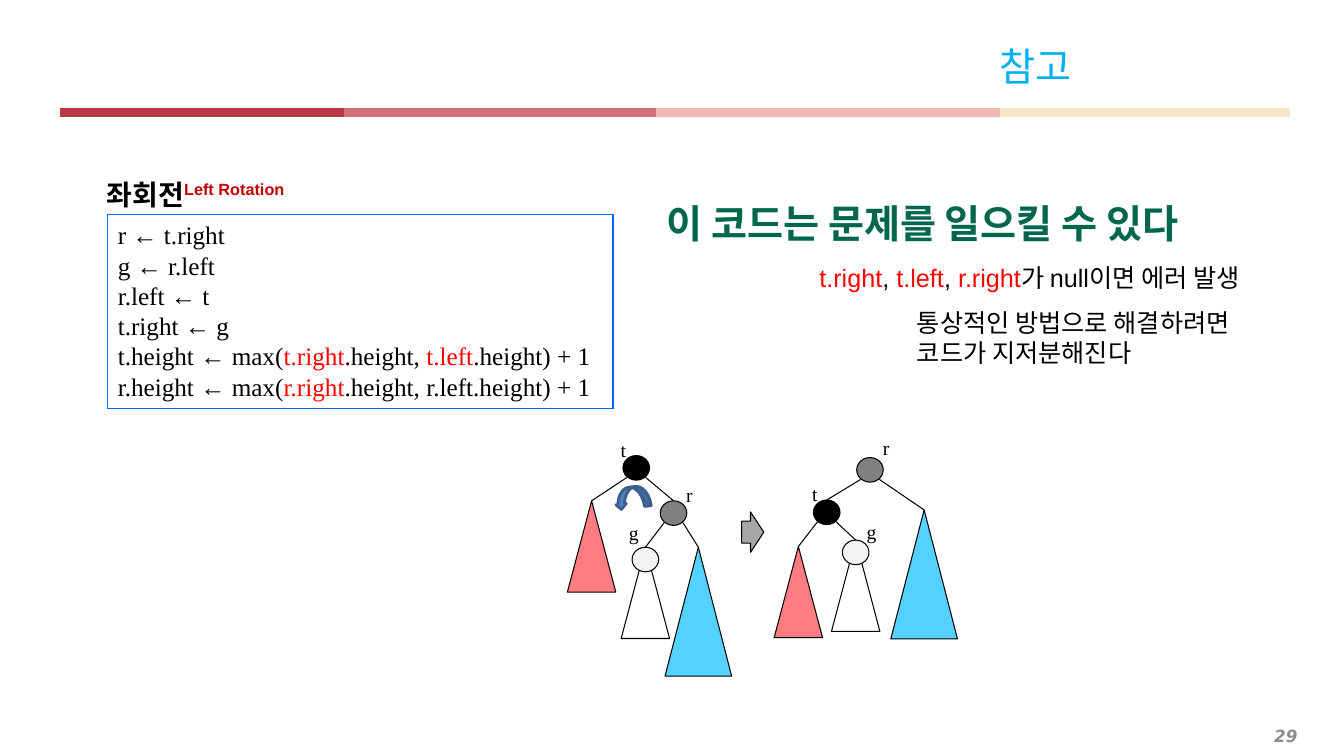
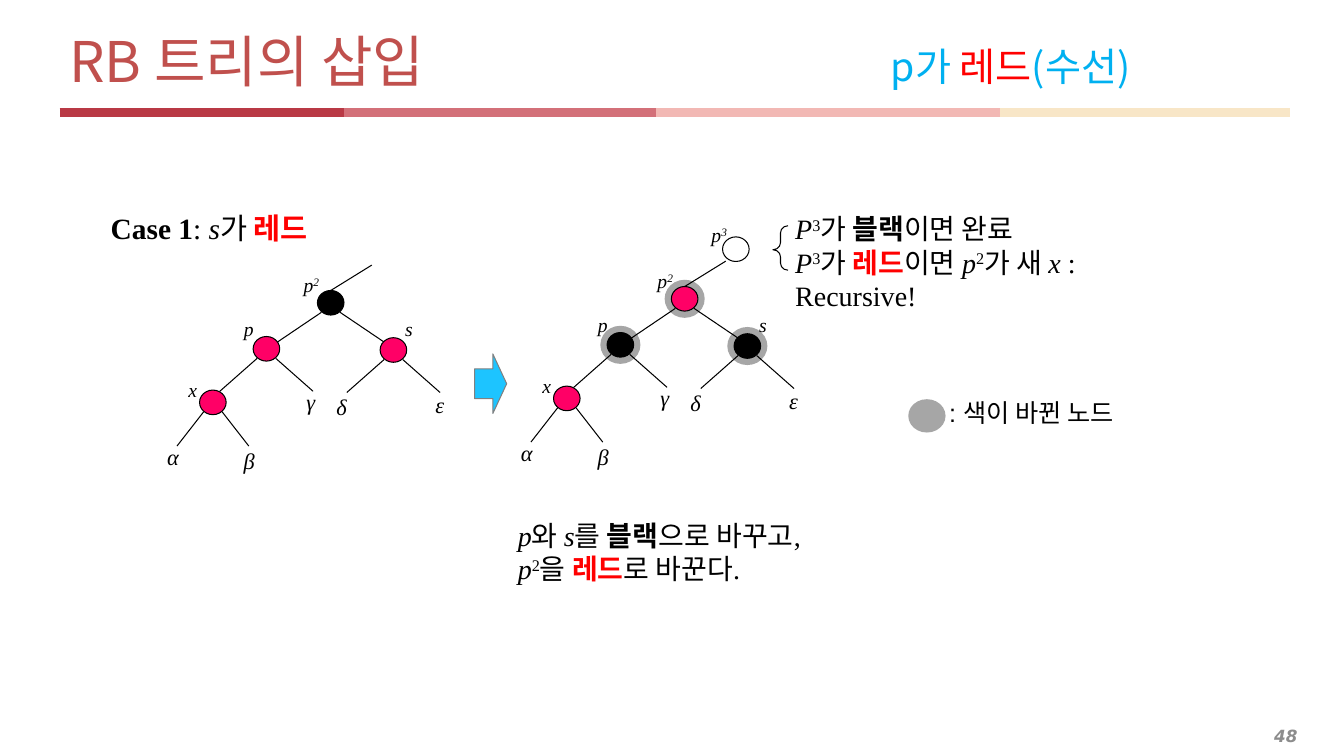
from lxml.etree import SubElement as Sub
from pptx import Presentation as Deck
from pptx.dml.color import RGBColor as Rgb
from pptx.enum.shapes import MSO_CONNECTOR as Wire, MSO_SHAPE as Geo
from pptx.enum.text import MSO_ANCHOR as Anchor, PP_ALIGN as Align
from pptx.oxml.ns import qn
from pptx.util import Cm, Pt


class Theme:
    hangul = "Noto Sans CJK KR"
    black, red, white, gray = "000000", "FF0000", "F2F2F2", "A6A6A6"
    dark, pink, rose, sky = "808080", "FF0066", "FF7C80", "53D2FF"
    cyan, blue, steel, navy = "1DC4FF", "0066FF", "4F81BD", "3A5F8C"
    bands = [(1.5, 8.66, "B93945"), (8.66, 16.54, "D37079"),
             (16.54, 25.2, "F2B8B4"), (25.2, 32.51, "F8E6C7")]
    node = (0.67, 0.62)
    halo = 0.17
    fonts = {
        "title": dict(name=hangul, size=Pt(40), color="C0504D"),
        "topic": dict(name=hangul, size=Pt(28), color="00B0F0"),
        "page": dict(name="DejaVu Sans", size=Pt(12), color="8C8C8C", bold=True, italic=True),
        "code": dict(name="Times New Roman", size=Pt(18)),
        "label": dict(name="Times New Roman", size=Pt(14)),
        "var": dict(name="Times New Roman", size=Pt(14), italic=True),
        "leaf": dict(name="Times New Roman", size=Pt(16), italic=True),
        "case": dict(name="Times New Roman", size=Pt(21)),
        "rule": dict(name="Times New Roman", size=Pt(20)),
        "head": dict(name="Arial", size=Pt(20), bold=True),
        "claim": dict(name="Arial", size=Pt(28), color="00664D", bold=True),
        "note": dict(name="Arial", size=Pt(18)),
    }
    marks = {
        "b": dict(bold=True),
        "i": dict(italic=True),
        "r": dict(color=red),
        "^": dict(base="30000"),
        "e": dict(color="C00000", base="36000"),
    }


class Board:
    def __init__(self):
        self.deck = Deck()
        self.deck.slide_width, self.deck.slide_height = Cm(33.87), Cm(19.05)

    def start(self, page, topic, left, title=None):
        self.slide = self.deck.slides.add_slide(self.deck.slide_layouts[6])
        self.shapes = self.slide.shapes
        for x, end, color in Theme.bands:
            self.line((x, 2.84), (end, 2.84), color, 6)
        if title:
            self.text(1.5, 0.64, 18, [[title]], "title", 1.73, Anchor.MIDDLE)
        self.text(left, 0.79, 10, [topic], "topic", 1.73, Anchor.MIDDLE)
        self.text(0.51, 18.14, 32.44, [[page]], "page", 0.79, Anchor.MIDDLE, Align.RIGHT)

    def fill(self, frame, rows, style, align=Align.LEFT):
        frame.word_wrap = True
        for n, row in enumerate(rows):
            para = frame.add_paragraph() if n else frame.paragraphs[0]
            para.alignment = align
            for part in row:
                words, marks = (part, "") if isinstance(part, str) else part
                look = dict(color=Theme.black) | Theme.fonts[style]
                for mark in marks:
                    look |= Theme.marks[mark]
                color, base = look.pop("color"), look.pop("base", None)
                run = para.add_run()
                run.text = words
                for key, value in look.items():
                    setattr(run.font, key, value)
                run.font.color.rgb = Rgb.from_string(color)
                props = run.font._element
                Sub(props, qn("a:ea")).set("typeface", Theme.hangul)
                if base:
                    props.set("baseline", base)

    def text(self, x, y, w, rows, style, h=1, anchor=Anchor.TOP, align=Align.LEFT):
        box = self.shapes.add_textbox(Cm(x), Cm(y), Cm(w), Cm(h))
        box.text_frame.vertical_anchor = anchor
        self.fill(box.text_frame, rows, style, align)

    def label(self, x, y, words, style):
        self.text(x, y, 1.3, [words], style, 0.86)

    def line(self, start, end, color=Theme.black, width=0.75):
        ends = [Cm(v) for v in (*start, *end)]
        wire = self.shapes.add_connector(Wire.STRAIGHT, *ends)
        wire.line.color.rgb = Rgb.from_string(color)
        wire.line.width = Pt(width)
        Sub(wire._element.spPr, qn("a:effectLst"))

    def shape(self, kind, x, y, w, h, fill=None, edge=Theme.black, width=0.75, tune=(), turn=0):
        item = self.shapes.add_shape(kind, Cm(x), Cm(y), Cm(w), Cm(h))
        item.shadow.inherit = False
        item.rotation = turn
        for n, value in enumerate(tune):
            item.adjustments[n] = value
        for paint, color in ((item.fill, fill), (item.line.fill, edge)):
            if color:
                paint.solid()
                paint.fore_color.rgb = Rgb.from_string(color)
            else:
                paint.background()
        if edge:
            item.line.width = Pt(width)
        return item

    def code(self, x, y, w, h, rows):
        box = self.shape(Geo.RECTANGLE, x, y, w, h, edge=Theme.blue)
        box.text_frame.vertical_anchor = Anchor.TOP
        self.fill(box.text_frame, rows, "code")

    def node(self, at, fill=None):
        self.shape(Geo.OVAL, *at, *Theme.node, fill)

    def halo(self, at):
        pad = Theme.halo
        (x, y), (w, h) = at, Theme.node
        self.shape(Geo.OVAL, x - pad, y - pad, w + 2 * pad, h + 2 * pad, Theme.gray, None)

    def fork(self, at, left, right):
        for start, end in zip(self.feet(at), (left, right)):
            self.line(start, end)

    def feet(self, at):
        x, y = at
        return (x + 0.1, y + 0.55), (x + Theme.node[0] - 0.1, y + 0.55)

    def spread(self, at, dx, dy):
        (lx, y), (rx, y) = self.feet(at)
        self.fork(at, (lx - dx, y + dy), (rx + dx, y + dy))

    def wedge(self, top, fill=None, w=1.22, h=2.3):
        self.shape(Geo.ISOSCELES_TRIANGLE, top[0] - w / 2, top[1], w, h, fill)

    def turned(self, root, child, inner, low, names, wide, left):
        black, dark = Theme.black, Theme.dark
        crown, hat = [(x + Theme.node[0] / 2, y) for x, y in (child, inner)]
        self.wedge(low, Theme.rose)
        self.wedge(hat)
        self.wedge(wide, Theme.sky, 1.68, 3.25)
        if left:
            self.fork(root, low, crown)
            self.fork(child, hat, wide)
        else:
            self.fork(root, crown, wide)
            self.fork(child, low, hat)
        self.node(root, black if left else dark)
        self.node(child, dark if left else black)
        self.node(inner, Theme.white)
        for name, at in names.items():
            self.label(*at, [name], "label")

    def tree(self, dx, dy, top, sides, lit):
        root, p, s, x = [(a + dx, b + dy) for a, b in
                         ((8, 7.32), (6.38, 8.48), (9.58, 8.51), (5.03, 9.83))]
        if lit:
            for at in (root, p, s):
                self.halo(at)
        self.line((root[0] + Theme.node[0] / 2, root[1]), (9.37 + dx, 6.68 + dy))
        for at, w, h in ((root, 1.14, 0.77), (p, 0.94, 0.83), (s, 0.94, 0.83), (x, 0.67, 0.86)):
            self.spread(at, w, h)
        for at, fill in ((root, top), (p, sides), (s, sides), (x, Theme.pink)):
            self.node(at, fill)
        for a, b, words in ((4.5, 9.4, ["x"]), (5.9, 7.87, ["p"]), (9.96, 7.87, ["s"]),
                            (7.4, 6.75, ["p", ("2", "^")])):
            self.label(a + dx, b + dy, words, "var")
        for a, b, word in ((3.96, 11.05, "α"), (5.89, 11.15, "β"), (7.47, 9.65, "γ"),
                           (8.23, 9.78, "δ"), (10.72, 9.73, "ε")):
            self.label(a + dx, b + dy, [word], "leaf")


def rotate(b):
    b.start("29", ["참고"], 24.95)
    b.text(2.44, 4.34, 8, [["좌회전", ("Left Rotation", "e")]], "head")
    b.code(2.72, 5.41, 12.73, 4.88, [
        ["r ← t.right"], ["g ← r.left"], ["r.left ← t"], ["t.right ← g"],
        ["t.height ← max(", ("t.right", "r"), ".height, ", ("t.left", "r"), ".height) + 1"],
        ["r.height ← max(", ("r.right", "r"), ".height, r.left.height) + 1"]])
    b.text(16.54, 4.9, 15.5, [["이 코드는 문제를 일으킬 수 있다"]], "claim")
    b.text(20.4, 6.48, 12.5, [[("t.right", "r"), ", ", ("t.left", "r"), ", ", ("r.right", "r"),
                               "가 null이면 에러 발생"]], "note")
    b.text(22.86, 7.62, 10, [["통상적인 방법으로 해결하려면"], ["코드가 지저분해진다"]], "note")
    b.turned((15.7, 11.48), (16.64, 12.62), (15.93, 13.79), (14.91, 12.62),
             dict(t=(15.39, 10.9), g=(15.6, 13), r=(17.04, 12.04)), (17.6, 13.79), True)
    b.turned((21.59, 11.53), (20.5, 12.6), (21.23, 13.61), (20.12, 13.77),
             dict(t=(20.22, 12.01), g=(21.59, 12.98), r=(22, 10.87)), (23.29, 12.85), False)
    b.shape(Geo.RIGHT_ARROW, 18.69, 12.9, 0.56, 1.02, Theme.gray, tune=(0.54, 0.6))
    b.shape(Geo.CURVED_RIGHT_ARROW, 15.67, 12.09, 0.53, 0.89, Theme.steel, Theme.navy, 2,
            (0.32, 0.5, 0.25), 82.6)


def insert(b):
    b.start("48", ["p가 ", ("레드", "r"), "(수선)"], 22.2, "RB 트리의 삽입")
    b.text(2.54, 5.16, 8, [[("Case 1", "b"), ": ", ("s", "i"), "가 ", ("레드", "br")]], "case")
    b.tree(0, 0, Theme.black, Theme.pink, False)
    b.tree(8.92, -0.1, Theme.pink, Theme.black, True)
    b.node((18.21, 5.97))
    b.label(17.68, 5.49, ["p", ("3", "^")], "var")
    b.shape(Geo.RIGHT_ARROW, 11.96, 8.92, 0.81, 1.5, Theme.cyan, Theme.dark, tune=(0.5, 0.43))
    b.shape(Geo.LEFT_BRACE, 19.48, 5.69, 0.38, 1.12, tune=(0.47, 0.54))
    power = [("P", "i"), ("3", "^"), "가 "]
    b.text(19.79, 5.21, 10.7, [
        power + [("블랙", "b"), "이면 완료"],
        power + [("레드", "br"), "이면 ", ("p", "i"), ("2", "^"), "가 새 ", ("x ", "i"),
                 ": Recursive!"]], "rule")
    b.shape(Geo.OVAL, 22.89, 10.06, 0.94, 0.84, Theme.gray, None)
    b.text(23.67, 9.88, 7, [[": 색이 바뀐 노드"]], "note")
    b.text(12.8, 12.93, 10, [
        [("p", "i"), "와 ", ("s", "i"), "를 ", ("블랙", "b"), "으로 바꾸고,"],
        [("p", "i"), ("2", "^"), "을 ", ("레드", "br"), "로 바꾼다."]], "rule")


def main():
    board = Board()
    rotate(board)
    insert(board)
    board.deck.save("out.pptx")


if __name__ == "__main__":
    main()
